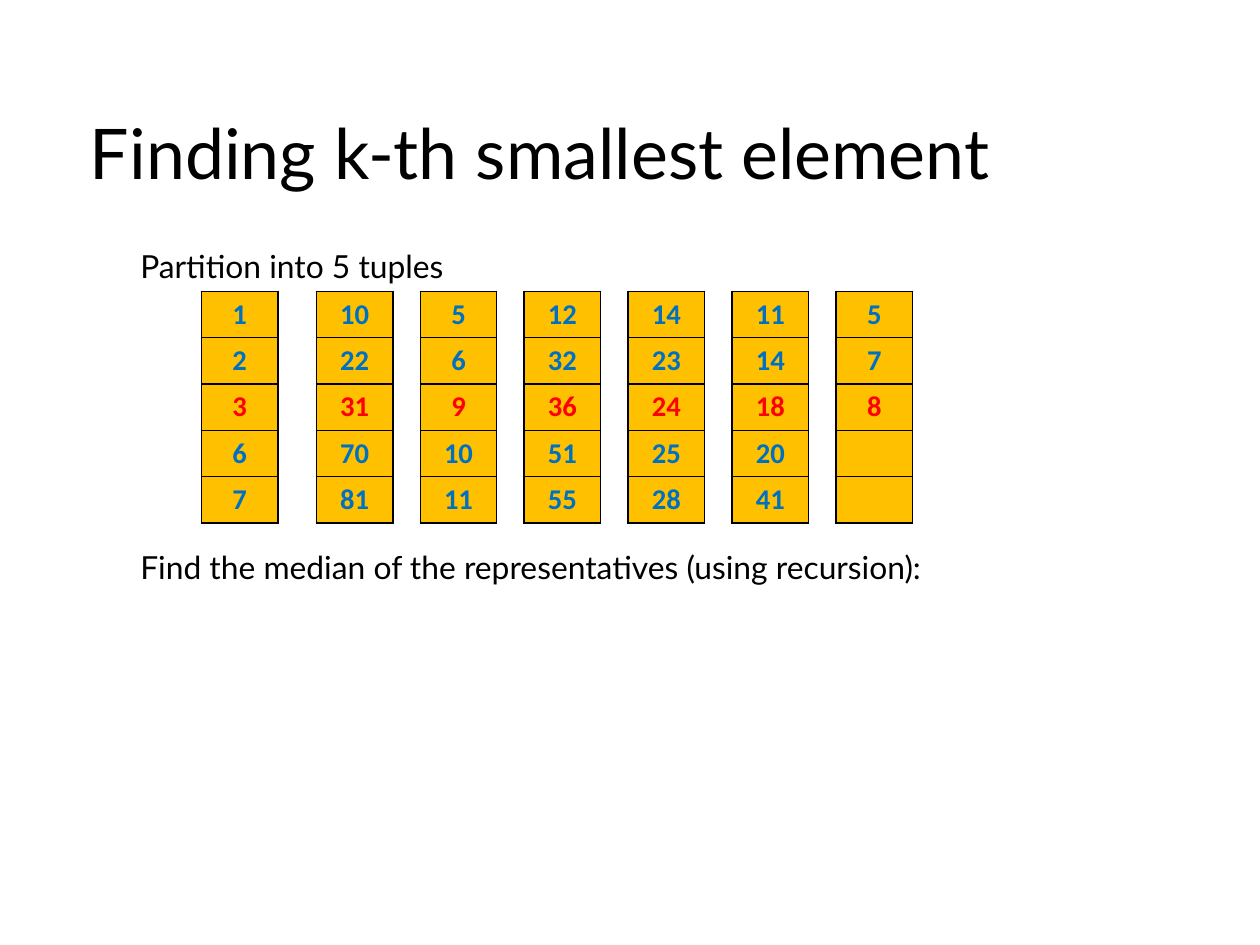
from dataclasses import dataclass

from lxml import etree
from pptx import Presentation
from pptx.dml.color import RGBColor
from pptx.enum.text import MSO_ANCHOR, MSO_AUTO_SIZE, PP_ALIGN
from pptx.oxml.ns import qn
from pptx.util import Cm, Inches, Pt

LEFT, CENTER = PP_ALIGN.LEFT, PP_ALIGN.CENTER
TOP, MIDDLE = MSO_ANCHOR.TOP, MSO_ANCHOR.MIDDLE
NO_FIT = MSO_AUTO_SIZE.NONE

WIDTH, HEIGHT = Cm(28), Cm(21)
COLORS = {"text": "000000", "cell": "FFC000", "value": "0070C0",
          "median": "FF0000", "border": "000000"}

TITLE_FONT = {"name": "Lato", "size": Pt(44), "bold": False}
BODY_FONT = {"name": "Lato", "size": Pt(20), "bold": False}
CELL_FONT = {"name": "Calibri", "size": Pt(18), "bold": True}
TITLE_FRAME = {"margin_left": 0, "margin_right": 0, "margin_top": Inches(0.04),
               "margin_bottom": 0, "vertical_anchor": MIDDLE,
               "word_wrap": True, "auto_size": NO_FIT}
BODY_FRAME = {**TITLE_FRAME, "margin_top": Inches(0.02), "vertical_anchor": TOP}
TABLE_FLAGS = {"first_row": False, "horz_banding": False}

FIRST_LEFT, SECOND_LEFT, TUPLE_STEP = 15.97, 25.1, 8.25
TUPLE_TOP, TUPLE_WIDTH, ROW_HEIGHT = 30.83, 6.08, 4.84
TUPLE_SIZE = 5
MEDIAN_ROW = TUPLE_SIZE // 2
BODY_INDENT = Inches(0.44)
TABLE_GAP = Pt(166)


@dataclass
class Box:
    """Position and size in percent of the slide."""
    left: float
    top: float
    width: float
    height: float

    def emu(self) -> tuple[int, int, int, int]:
        return (int(WIDTH * self.left / 100), int(HEIGHT * self.top / 100),
                int(WIDTH * self.width / 100), int(HEIGHT * self.height / 100))


@dataclass
class NumberTuple:
    left: float
    values: list[int]


TITLE_BOX = Box(7.14, 7.5, 83.94, 16.57)
BODY_BOX = Box(7.14, 25.84, 87.84, 63.6)
BODY_LINES = ["Partition into 5 tuples",
              "Find the median of the representatives (using recursion):"]
VALUES = [[1, 2, 3, 6, 7], [10, 22, 31, 70, 81], [5, 6, 9, 10, 11],
          [12, 32, 36, 51, 55], [14, 23, 24, 25, 28], [11, 14, 18, 20, 41],
          [5, 7, 8]]
TUPLES = [NumberTuple(SECOND_LEFT + (i - 1) * TUPLE_STEP if i else FIRST_LEFT, v)
          for i, v in enumerate(VALUES)]


def apply(target, values: dict) -> None:
    for name, value in values.items():
        setattr(target, name, value)


def write(p, text: str, font: dict, color: str, align=LEFT) -> None:
    p.alignment = align
    r = p.add_run()
    r.text = text
    apply(r.font, font)
    r.font.color.rgb = RGBColor.from_string(COLORS[color])


def add_title(slide) -> None:
    sp = slide.shapes.title
    apply(sp, dict(zip(("left", "top", "width", "height"), TITLE_BOX.emu())))
    apply(sp.text_frame, TITLE_FRAME)
    write(sp.text_frame.paragraphs[0], "Finding k-th smallest element",
          TITLE_FONT, "text")


def add_body(slide) -> None:
    tf = slide.shapes.add_textbox(*BODY_BOX.emu()).text_frame
    apply(tf, BODY_FRAME)
    for i, line in enumerate(BODY_LINES):
        p = tf.add_paragraph() if i else tf.paragraphs[0]
        p._p.get_or_add_pPr().set("marL", str(BODY_INDENT))
        p.space_after = TABLE_GAP
        write(p, line, BODY_FONT, "text")
    p.space_after = Pt(0)


def add_borders(cell) -> None:
    tc_pr = cell._tc.get_or_add_tcPr()
    for side in ("a:lnL", "a:lnR", "a:lnT", "a:lnB"):
        ln = etree.SubElement(tc_pr, qn(side), w=str(Pt(1)))
        fill = etree.SubElement(ln, qn("a:solidFill"))
        etree.SubElement(fill, qn("a:srgbClr"), val=COLORS["border"])


def add_tuple(slide, item: NumberTuple) -> None:
    box = Box(item.left, TUPLE_TOP, TUPLE_WIDTH, ROW_HEIGHT * TUPLE_SIZE)
    table = slide.shapes.add_table(TUPLE_SIZE, 1, *box.emu()).table
    apply(table, TABLE_FLAGS)
    for row in range(TUPLE_SIZE):
        cell = table.cell(row, 0)
        add_borders(cell)
        cell.fill.solid()
        cell.fill.fore_color.rgb = RGBColor.from_string(COLORS["cell"])
        if row < len(item.values):
            color = "median" if row == MEDIAN_ROW else "value"
            write(cell.text_frame.paragraphs[0], str(item.values[row]),
                  CELL_FONT, color, CENTER)


def main() -> None:
    prs = Presentation()
    prs.slide_width = WIDTH
    prs.slide_height = HEIGHT
    slide = prs.slides.add_slide(prs.slide_layouts[5])
    add_title(slide)
    add_body(slide)
    for item in TUPLES:
        add_tuple(slide, item)
    prs.save("out.pptx")


if __name__ == "__main__":
    main()
